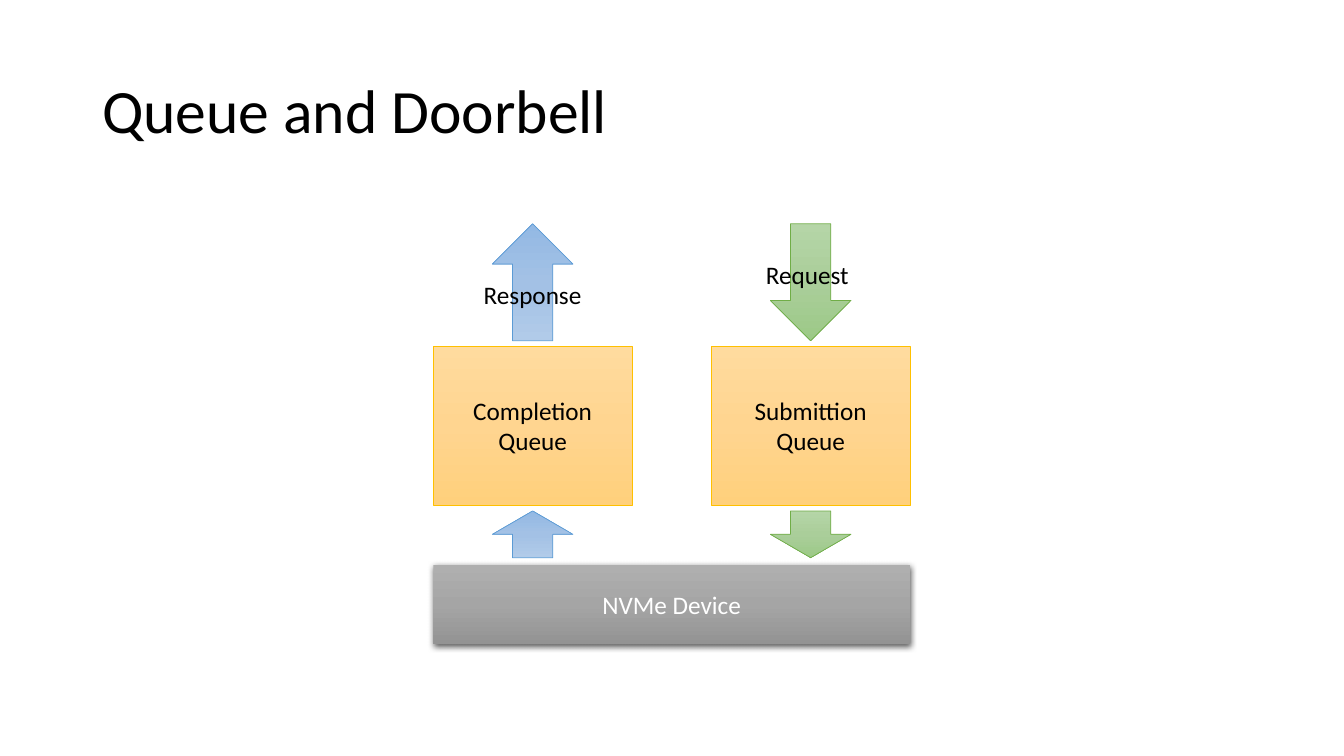
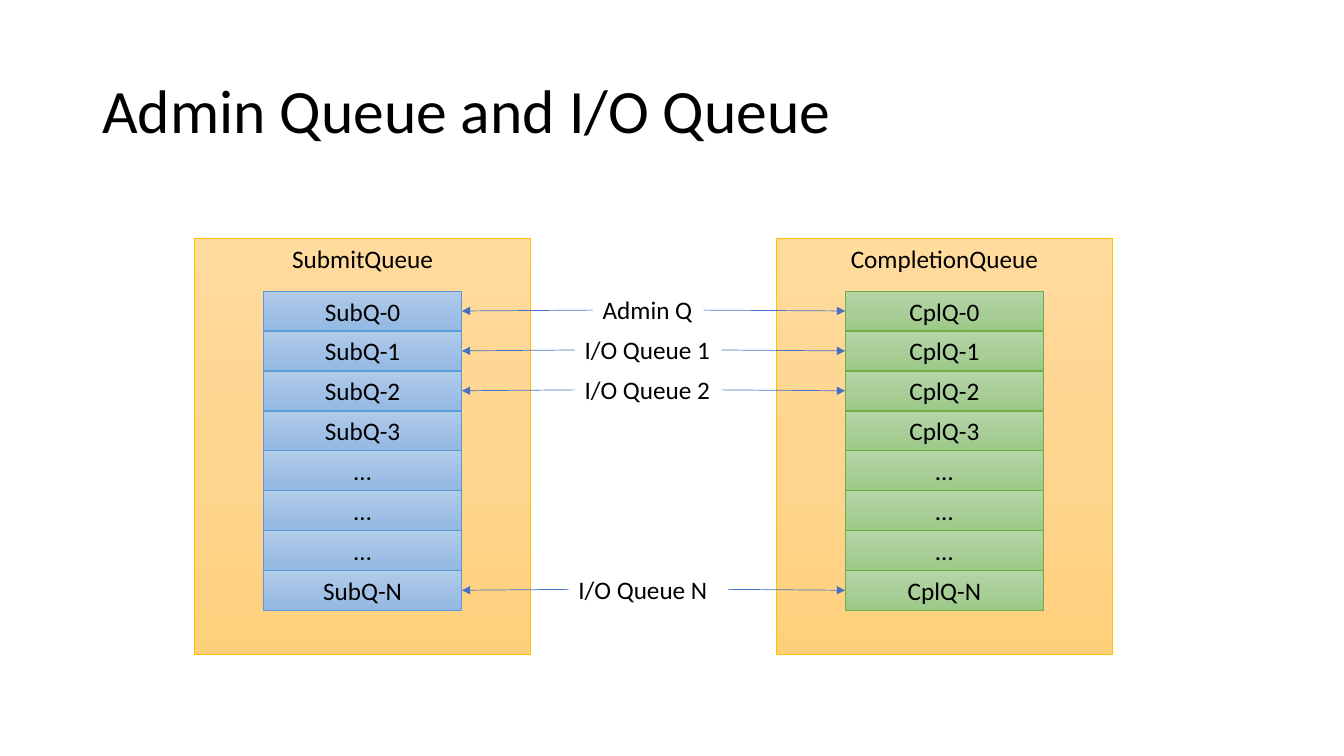
from copy import deepcopy
from dataclasses import dataclass

from lxml.etree import SubElement as Sub
from pptx import Presentation
from pptx.dml.color import RGBColor as Rgb
from pptx.enum.shapes import MSO_CONNECTOR as Link, MSO_SHAPE as Form
from pptx.enum.text import MSO_ANCHOR as Anchor, MSO_AUTO_SIZE as Fit, PP_ALIGN as Align
from pptx.oxml.ns import qn
from pptx.shapes.autoshape import Shape
from pptx.slide import Slide
from pptx.util import Pt

FONT = "Calibri"
HEX = {"text": "000000", "light": "FFFFFF", "link": "4472C4"}


@dataclass(frozen=True)
class Tone:
    stops: tuple[str, str, str]
    edge: str | None = None


@dataclass(frozen=True)
class Box:
    x: float
    y: float
    w: float
    h: float

    def lengths(self) -> tuple[Pt, Pt, Pt, Pt]:
        return Pt(self.x), Pt(self.y), Pt(self.w), Pt(self.h)


@dataclass(frozen=True)
class Lane:
    """One queue column of the first slide."""
    x: float
    name: str
    form: Form
    tone: Tone
    angle: int
    label: str
    spot: Box


@dataclass(frozen=True)
class Stack:
    """One panel of queue rows on the second slide."""
    x: float
    name: str
    stem: str
    tone: Tone


GOLD = Tone(("FFDB9E", "FFD590", "FFD07C"), "FFC000")
BLUE = Tone(("B1CBE9", "A3C1E5", "93B9E4"), "5B9BD5")
GREEN = Tone(("B5D5A7", "AACE9A", "9CC987"), "70AD47")
GREY = Tone(("AFAFAF", "A5A5A5", "939393"))
DOWN, UP = 270, 90  # gradient angles, counter-clockwise


# Shared drawing helpers
def write(shape: Shape, text: str, size: float = 18, color: str = "text",
          align: Align = Align.LEFT, anchor: Anchor = Anchor.TOP, wrap: bool = True) -> None:
    frame = shape.text_frame
    frame.text = text
    frame.word_wrap = wrap
    frame.vertical_anchor = anchor
    para = frame.paragraphs[0]
    para.alignment = align
    font = para.runs[0].font
    font.name, font.size = FONT, Pt(size)
    font.color.rgb = Rgb.from_string(HEX[color])


def add_title(slide: Slide, text: str) -> None:
    shape = slide.shapes.add_textbox(*Box(66, 28.8, 828, 104.4).lengths())
    write(shape, text, 44, anchor=Anchor.MIDDLE)
    shape.text_frame.paragraphs[0].line_spacing = 0.9


def add_form(slide: Slide, form: Form, box: Box, tone: Tone, angle: int = DOWN) -> Shape:
    shape = slide.shapes.add_shape(form, *box.lengths())
    shape.shadow.inherit = False
    fill = shape.fill
    fill.gradient()
    fill.gradient_angle = angle
    stops = shape.element.spPr.find(".//" + qn("a:gsLst"))
    stops.insert(1, deepcopy(stops[0]))
    for i, (stop, color) in enumerate(zip(fill.gradient_stops, tone.stops)):
        stop.position = i / 2
        stop.color.rgb = Rgb.from_string(color)
    if tone.edge:
        shape.line.color.rgb = Rgb.from_string(tone.edge)
        shape.line.width = Pt(0.5)
    else:
        shape.line.fill.background()
    return shape


def add_block(slide: Slide, box: Box, tone: Tone, text: str, color: str = "text",
              anchor: Anchor = Anchor.MIDDLE) -> Shape:
    shape = add_form(slide, Form.RECTANGLE, box, tone)
    write(shape, text, color=color, align=Align.CENTER, anchor=anchor)
    return shape


def add_label(slide: Slide, box: Box, text: str, wrap: bool = True) -> Shape:
    shape = slide.shapes.add_textbox(*box.lengths())
    write(shape, text, wrap=wrap)
    shape.text_frame.auto_size = Fit.SHAPE_TO_FIT_TEXT
    return shape


def add_shade(shape: Shape) -> None:
    effects = shape.element.spPr.find(qn("a:effectLst"))
    shade = Sub(effects, qn("a:outerShdw"), blurRad=str(Pt(4.5)), dist=str(Pt(1.5)),
                dir="5400000", algn="ctr", rotWithShape="0")
    color = Sub(shade, qn("a:srgbClr"), val=HEX["text"])
    Sub(color, qn("a:alpha"), val="63000")


def join(slide: Slide, start: Shape, side: int, end: Shape, face: int) -> None:
    link = slide.shapes.add_connector(Link.STRAIGHT, 0, 0, 0, 0)
    link.begin_connect(start, side)
    link.end_connect(end, face)
    link.line.color.rgb = Rgb.from_string(HEX["link"])
    link.line.width = Pt(0.5)
    props = link.element.spPr
    Sub(props.find(qn("a:ln")), qn("a:tailEnd"), type="triangle")
    Sub(props, qn("a:effectLst"))


# Slide 1: queues above the device
CELL = 141.8
LANES = (
    Lane(508.2, "Submittion Queue", Form.DOWN_ARROW, GREEN, DOWN,
         "Request", Box(540, 181.4, 74.2, 29)),
    Lane(309.6, "Completion Queue", Form.UP_ARROW, BLUE, UP,
         "Response", Box(338.4, 196, 85, 29)),
)


def draw_bell(slide: Slide) -> None:
    add_title(slide, "Queue and Doorbell")
    left, right = LANES[1].x, LANES[0].x
    device = add_block(slide, Box(left, 403.5, right + CELL - left, 56.7), GREY,
                       "NVMe Device", "light")
    add_shade(device)
    wide = 57.6
    for lane in LANES:
        add_block(slide, Box(lane.x, 247.5, CELL, 113.2), GOLD, lane.name)
        x = lane.x + (CELL - wide) / 2
        for y, h in ((159.8, 83.6), (365, 33.4)):
            add_form(slide, lane.form, Box(x, y, wide, h), lane.tone, lane.angle)
        add_label(slide, lane.spot, lane.label, wrap=False)


# Slide 2: paired rows of two queue panels
STACKS = (Stack(139, "SubmitQueue", "SubQ", BLUE),
          Stack(554.6, "CompletionQueue", "CplQ", GREEN))
MARKS = ("0", "1", "2", "3", None, None, None, "N")
PAIRS = ((0, "Admin Q", 79.2), (1, "I/O Queue 1", 105),
         (2, "I/O Queue 2", 105), (7, "I/O Queue N", 113.8))
TOP, STEP, MID = 208, 28.5, 463


def add_stack(slide: Slide, stack: Stack) -> list[Shape]:
    panel = Box(stack.x, 170, 240, 297.5)
    add_block(slide, panel, GOLD, stack.name, anchor=Anchor.TOP)
    x = panel.x + (panel.w - CELL) / 2
    return [add_block(slide, Box(x, TOP + i * STEP, CELL, 28.3), stack.tone,
                      f"{stack.stem}-{mark}" if mark else "…")
            for i, mark in enumerate(MARKS)]


def draw_pairs(slide: Slide) -> None:
    add_title(slide, "Admin Queue and I/O Queue")
    left, right = (add_stack(slide, stack) for stack in STACKS)
    for row, text, wide in PAIRS:
        box = Box(MID - wide / 2, TOP + row * STEP - 1, wide, 29)
        label = add_label(slide, box, text)
        join(slide, label, 1, left[row], 3)
        join(slide, label, 3, right[row], 1)


def main() -> None:
    deck = Presentation()
    deck.slide_width, deck.slide_height = Pt(960), Pt(540)
    for draw in (draw_bell, draw_pairs):
        draw(deck.slides.add_slide(deck.slide_layouts[6]))
    deck.save("out.pptx")


if __name__ == "__main__":
    main()
